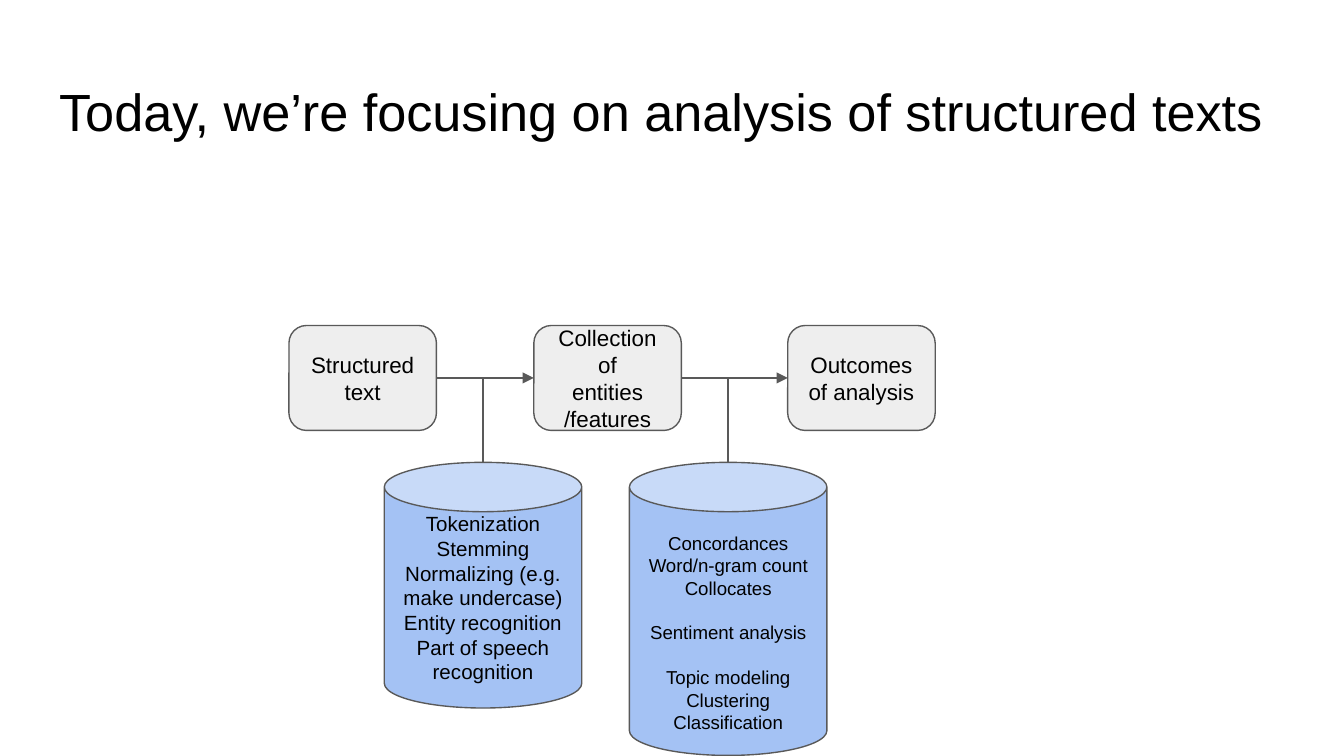
"""Build the slide on the analysis of structured texts."""
from lxml import etree
from pptx import Presentation
from pptx.dml.color import RGBColor
from pptx.enum import shapes, text
from pptx.oxml import ns
from pptx.util import Pt

BLACK = RGBColor(0x00, 0x00, 0x00)
GREY = RGBColor(0xEE, 0xEE, 0xEE)
BLUE = RGBColor(0xA4, 0xC2, 0xF4)
DARK = RGBColor(0x59, 0x59, 0x59)

BOX_W, BOX_H, BOX_TOP = 79, 56.2, 174.4
CAN_W, CAN_TOP = 105.8, 247.7
STEPS = [
    (154.8, "Structured text"),
    (286, "Collection of entities /features"),
    (422, "Outcomes of analysis"),
]
METHODS = [
    (205.9, 131.6, 11, 0, [[
        "Tokenization", "Stemming", "Normalizing (e.g. make undercase)",
        "Entity recognition", "Part of speech recognition"]]),
    (337.2, 157, 10, 12, [
        ["Concordances", "Word/n-gram count", "Collocates"],
        ["Sentiment analysis"],
        ["Topic modeling", "Clustering", "Classification"]]),
]


class Deck:
    """Hold the style and the current slide."""

    def __init__(self, prs, font="Arial"):
        self.font = font
        self.s = prs.slides.add_slide(prs.slide_layouts[5])

    def format(self, tf, size, align, anchor, top=7.2):
        tf.word_wrap = True
        tf.auto_size = text.MSO_AUTO_SIZE.NONE
        tf.vertical_anchor = anchor
        tf.margin_left = tf.margin_right = tf.margin_bottom = Pt(7.2)
        tf.margin_top = Pt(top)
        for p in tf.paragraphs:
            p.alignment = align
            p.line_spacing = 1.0
            for r in p.runs:
                r.font.name, r.font.size = self.font, Pt(size)
                r.font.color.rgb = BLACK

    def title(self, words, x, y, w, h):
        sp = self.s.shapes.title
        sp.left, sp.top, sp.width, sp.height = Pt(x), Pt(y), Pt(w), Pt(h)
        sp.text_frame.text = words
        self.format(sp.text_frame, 28, text.PP_ALIGN.LEFT, text.MSO_ANCHOR.TOP)

    def shape(self, kind, x, y, w, h, fill, words, size, top=7.2):
        sp = self.s.shapes.add_shape(kind, Pt(x), Pt(y), Pt(w), Pt(h))
        sp.shadow.inherit = False
        sp.fill.solid()
        sp.fill.fore_color.rgb = fill
        sp.line.color.rgb, sp.line.width = DARK, Pt(0.75)
        sp.text_frame.text = words
        self.format(sp.text_frame, size, text.PP_ALIGN.CENTER,
                    text.MSO_ANCHOR.MIDDLE, top)
        return sp

    def box(self, x, words):
        return self.shape(shapes.MSO_SHAPE.ROUNDED_RECTANGLE, x, BOX_TOP,
                          BOX_W, BOX_H, GREY, words, 12)

    def can(self, x, h, size, gap, groups):
        words = "\n".join(item for group in groups for item in group)
        sp = self.shape(shapes.MSO_SHAPE.CAN, x, CAN_TOP, CAN_W, h, BLUE,
                        words, size, 7.2 + gap)
        start = 0
        for group in groups[:-1]:
            start += len(group)
            sp.text_frame.paragraphs[start].space_before = Pt(gap)

    def line(self, x1=0, y1=0, x2=0, y2=0):
        c = self.s.shapes.add_connector(shapes.MSO_CONNECTOR.STRAIGHT,
                                        Pt(x1), Pt(y1), Pt(x2), Pt(y2))
        c.line.color.rgb, c.line.width = DARK, Pt(0.75)
        etree.SubElement(c._element.spPr, ns.qn("a:effectLst"))
        return c

    def arrow(self, start, end):
        c = self.line()
        c.begin_connect(start, 3)
        c.end_connect(end, 1)
        etree.SubElement(c.line._get_or_add_ln(), ns.qn("a:tailEnd"),
                         type="triangle")


def main():
    prs = Presentation()
    prs.slide_width, prs.slide_height = Pt(720), Pt(405)
    deck = Deck(prs)
    deck.title("Today, we’re focusing on analysis of structured texts",
               24.5, 35.3, 671, 45.4)
    boxes = [deck.box(x, words) for x, words in STEPS]
    for start, end in zip(boxes, boxes[1:]):
        deck.arrow(start, end)
    for x, h, size, gap, groups in METHODS:
        deck.can(x, h, size, gap, groups)
        middle = x + CAN_W / 2
        deck.line(middle, CAN_TOP, middle, BOX_TOP + BOX_H / 2)
    prs.save("out.pptx")


if __name__ == "__main__":
    main()
